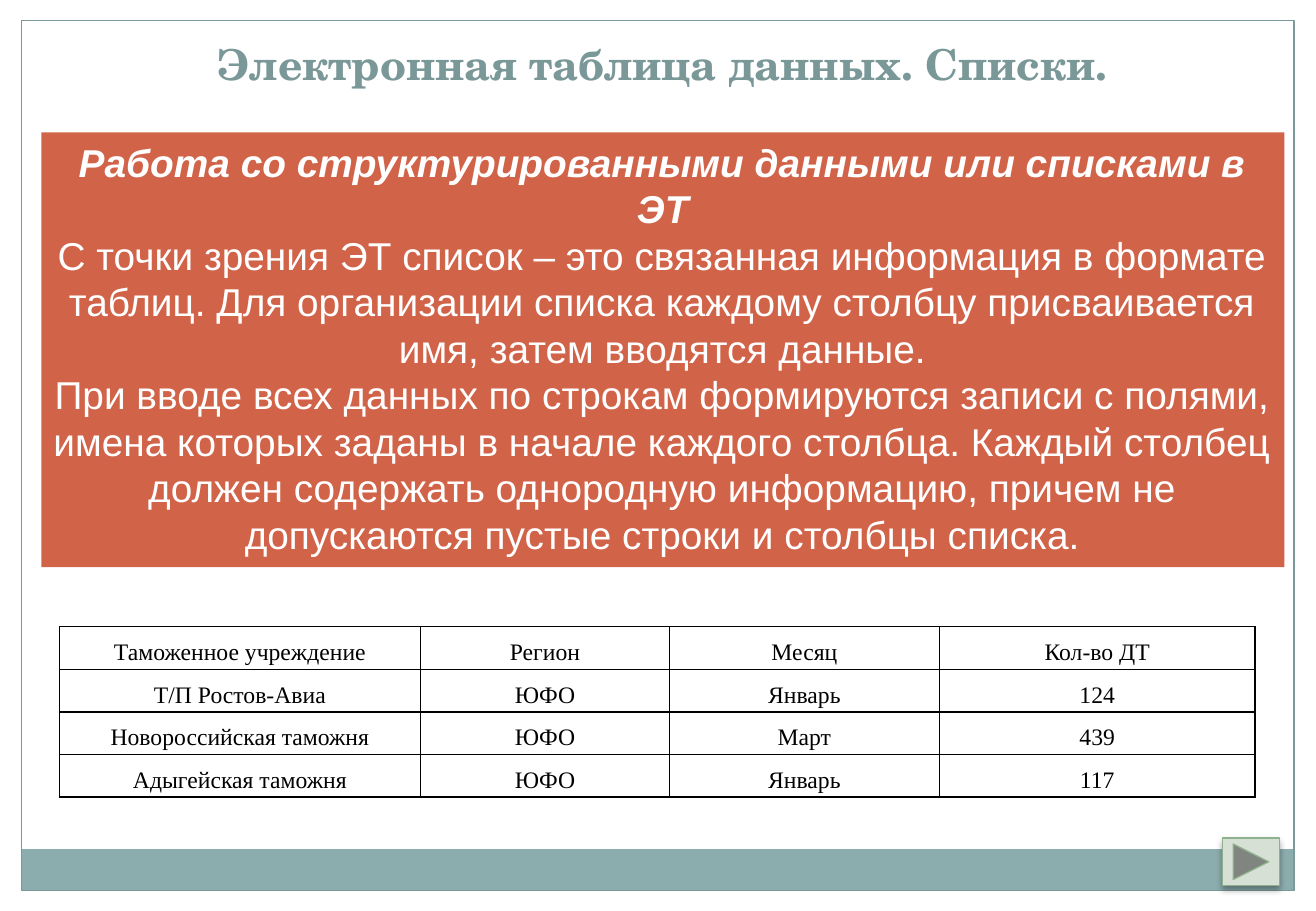
import lxml.etree
import pptx
import pptx.dml.color
import pptx.enum.shapes
import pptx.enum.text
import pptx.oxml.ns
import pptx.util

PX = 9144
RGB = pptx.dml.color.RGBColor
WHITE = RGB(0xFF, 0xFF, 0xFF)
BLACK = RGB(0, 0, 0)
TEAL = RGB(0x8C, 0xAD, 0xAE)
TEAL_LINE = RGB(0x7C, 0x99, 0x9A)
TITLE_TEAL = RGB(0x7B, 0x98, 0x99)
RUST = RGB(0xD1, 0x63, 0x49)
SAGE = RGB(0xD6, 0xE0, 0xD5)
SAGE_LINE = RGB(0x8F, 0xB0, 0x8C)
SHAPES = pptx.enum.shapes.MSO_SHAPE
CENTER = pptx.enum.text.PP_ALIGN.CENTER
ANCHOR = pptx.enum.text.MSO_ANCHOR
FIT = pptx.enum.text.MSO_AUTO_SIZE
qn = pptx.oxml.ns.qn

TITLE = "Электронная таблица данных. Списки."
DEFINITION = [
    "Работа со структурированными данными или списками в ЭТ",
    "С точки зрения ЭТ список – это связанная информация в формате таблиц. "
    "Для организации списка каждому столбцу присваивается имя, затем вводятся данные.",
    "При вводе всех данных по строкам формируются записи с полями, имена которых "
    "заданы в начале каждого столбца. Каждый столбец должен содержать однородную "
    "информацию, причем не допускаются пустые строки и столбцы списка.",
]
RECORDS = [
    ["Таможенное учреждение", "Регион", "Месяц", "Кол-во ДТ"],
    ["Т/П Ростов-Авиа", "ЮФО", "Январь", "124"],
    ["Новороссийская таможня", "ЮФО", "Март", "439"],
    ["Адыгейская таможня", "ЮФО", "Январь", "117"],
]
FIELD_WIDTHS = [297, 205, 222, 260]


def emu(box):
    return [length * PX for length in box]


def write(paragraph, text, size, face, color, **formats):
    paragraph.alignment = CENTER
    run = paragraph.add_run()
    run.text = text
    run.font.color.rgb = color
    formats.update(size=pptx.util.Pt(size), name=face)
    for key, value in formats.items():
        setattr(run.font, key, value)


def add_block(slide, kind, box, fill=None, line=None):
    block = slide.shapes.add_shape(kind, *emu(box))
    block.shadow.inherit = False
    if fill is None:
        block.fill.background()
    else:
        block.fill.solid()
        block.fill.fore_color.rgb = fill
    if line is None:
        block.line.fill.background()
    else:
        block.line.color.rgb = line
        block.line.width = pptx.util.Pt(0.75)
    return block


def add_frame(slide, box):
    left, top, width, height = box
    band = 34
    add_block(slide, SHAPES.RECTANGLE, (left, top + height - band, width, band), TEAL)
    add_block(slide, SHAPES.RECTANGLE, box, line=TEAL_LINE)


def set_title(slide, box):
    title = slide.shapes.title
    title.left, title.top, title.width, title.height = emu(box)
    frame = title.text_frame
    formats = {"vertical_anchor": ANCHOR.BOTTOM, "auto_size": FIT.NONE, "word_wrap": True}
    for key, value in formats.items():
        setattr(frame, key, value)
    write(frame.paragraphs[0], TITLE, 25.2, "TeX Gyre Schola", TITLE_TEAL, bold=True)


def add_next_button(slide, box):
    button = add_block(slide, SHAPES.ACTION_BUTTON_FORWARD_OR_NEXT, box, SAGE, SAGE_LINE)
    effects = button.element.spPr.find(qn("a:effectLst"))
    shadow = lxml.etree.SubElement(
        effects, qn("a:outerShdw"), blurRad="50800", dist="25400", dir="5400000", rotWithShape="0")
    color = lxml.etree.SubElement(shadow, qn("a:srgbClr"), val=str(BLACK))
    lxml.etree.SubElement(color, qn("a:alpha"), val="35000")


def add_definition(slide, box):
    frame = add_block(slide, SHAPES.RECTANGLE, box, RUST).text_frame
    formats = {"vertical_anchor": ANCHOR.TOP, "auto_size": FIT.SHAPE_TO_FIT_TEXT, "word_wrap": True}
    for key, value in formats.items():
        setattr(frame, key, value)
    for index, text in enumerate(DEFINITION):
        paragraph = frame.add_paragraph() if index else frame.paragraphs[0]
        heading = index == 0
        write(paragraph, text, 23, "Arial", WHITE, bold=heading, italic=heading)


def add_borders(cell):
    properties = cell._tc.get_or_add_tcPr()
    for index, side in enumerate(("a:lnL", "a:lnR", "a:lnT", "a:lnB")):
        border = lxml.etree.Element(qn(side), w="12700")
        fill = lxml.etree.SubElement(border, qn("a:solidFill"))
        lxml.etree.SubElement(fill, qn("a:srgbClr"), val=str(BLACK))
        properties.insert(index, border)


def add_records(slide, box):
    table = slide.shapes.add_table(len(RECORDS), len(FIELD_WIDTHS), *emu(box)).table
    table.first_row = table.horz_banding = False
    for column, width in zip(table.columns, FIELD_WIDTHS):
        column.width = width * PX
    formats = {"margin_left": 7 * PX, "margin_right": 7 * PX, "margin_top": 0,
               "margin_bottom": 0, "vertical_anchor": ANCHOR.TOP}
    for row, record in zip(table.rows, RECORDS):
        row.height = box[3] * PX // len(RECORDS)
        for cell, text in zip(row.cells, record):
            for key, value in formats.items():
                setattr(cell, key, value)
            cell.fill.background()
            add_borders(cell)
            paragraph = cell.text_frame.paragraphs[0]
            paragraph.line_spacing = 1.5
            write(paragraph, text, 14, "Times New Roman", BLACK, bold=False)


def main():
    deck = pptx.Presentation()
    deck.slide_width, deck.slide_height = emu((1083, 750))
    slide = deck.slides.add_slide(deck.slide_layouts[5])
    add_frame(slide, (18, 17, 1047, 716))
    set_title(slide, (49, 28, 992, 50))
    add_next_button(slide, (1006, 690, 47, 39))
    add_definition(slide, (34, 109, 1023, 358))
    add_records(slide, (49, 516, sum(FIELD_WIDTHS), 140))
    deck.save("out.pptx")


if __name__ == "__main__":
    main()
